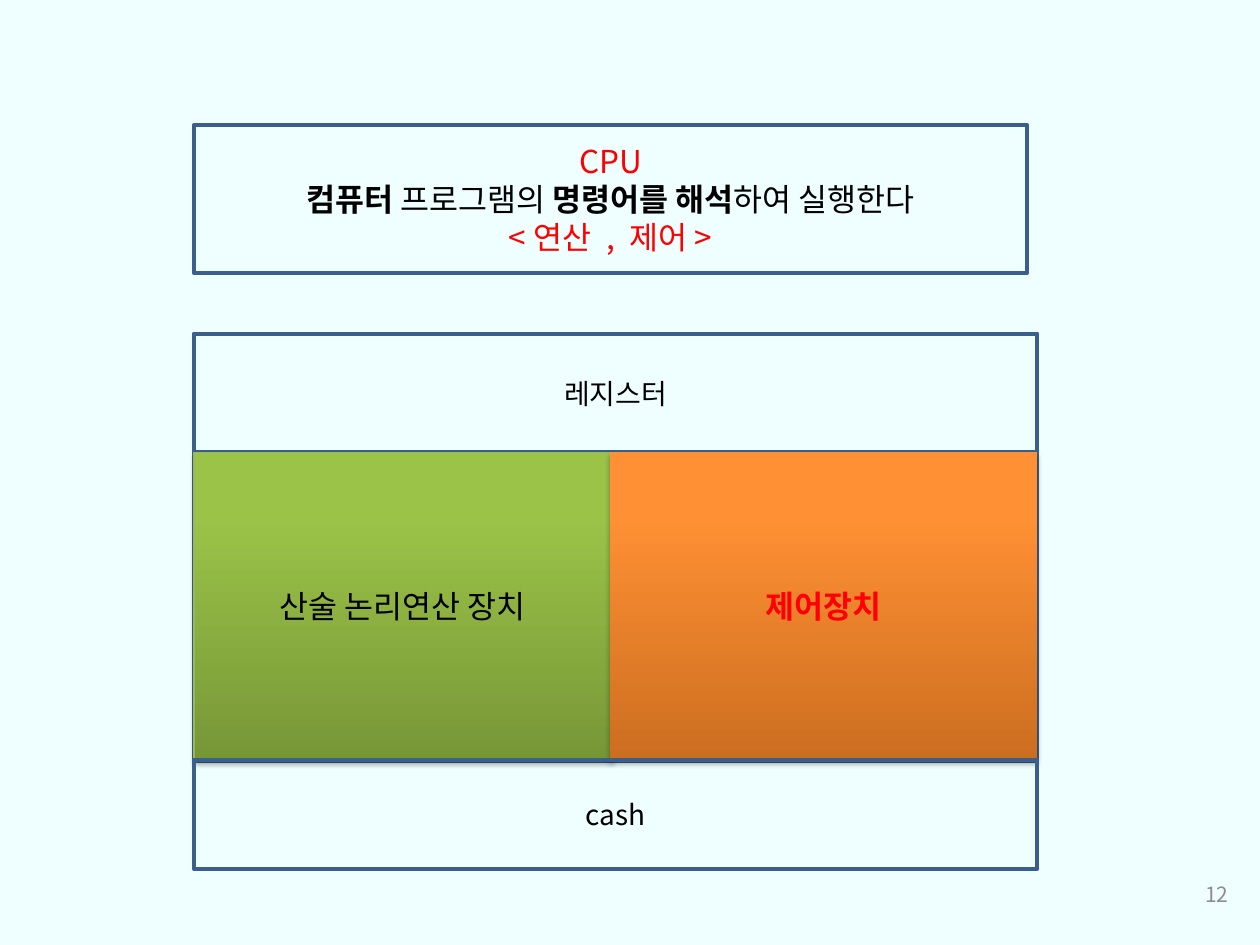
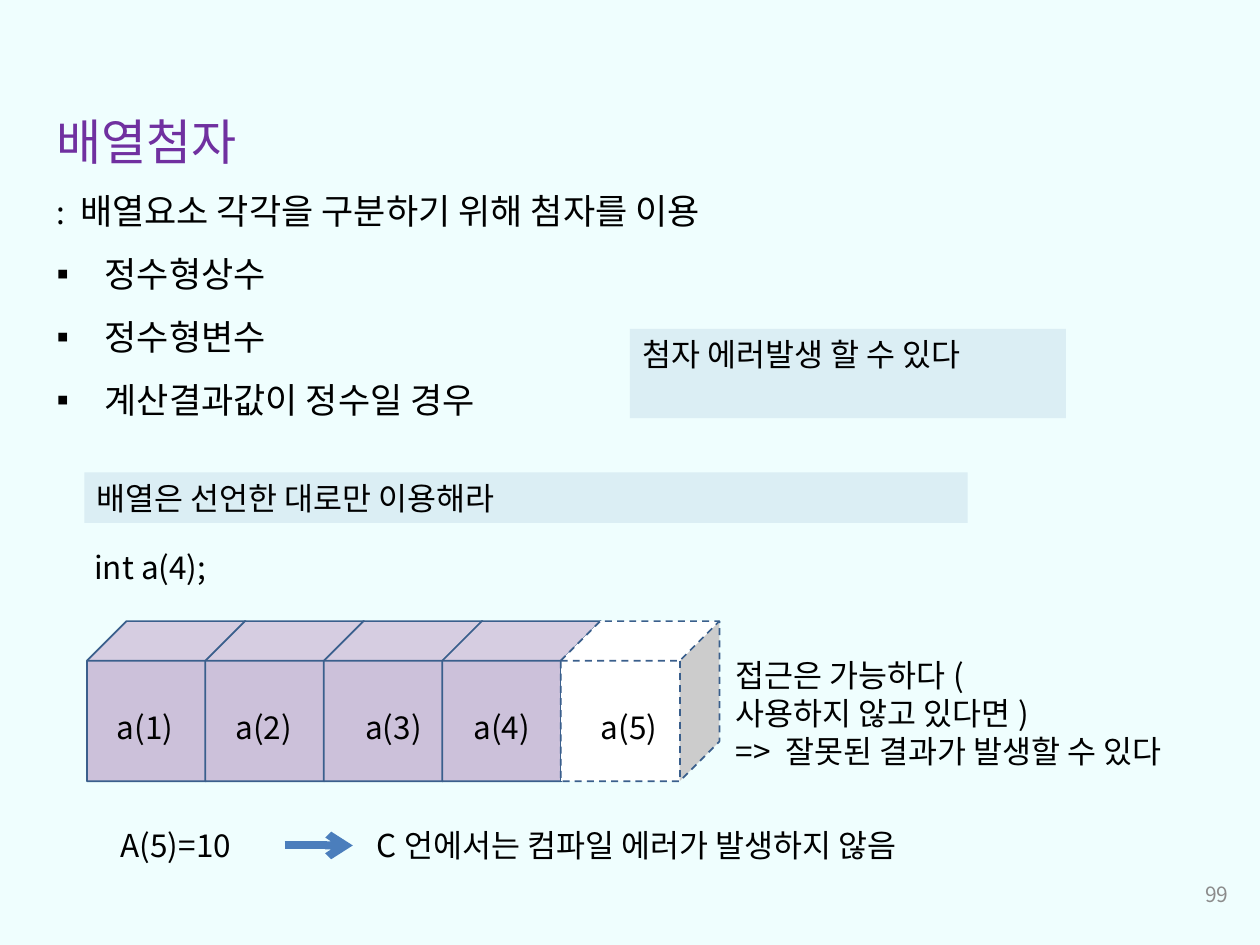
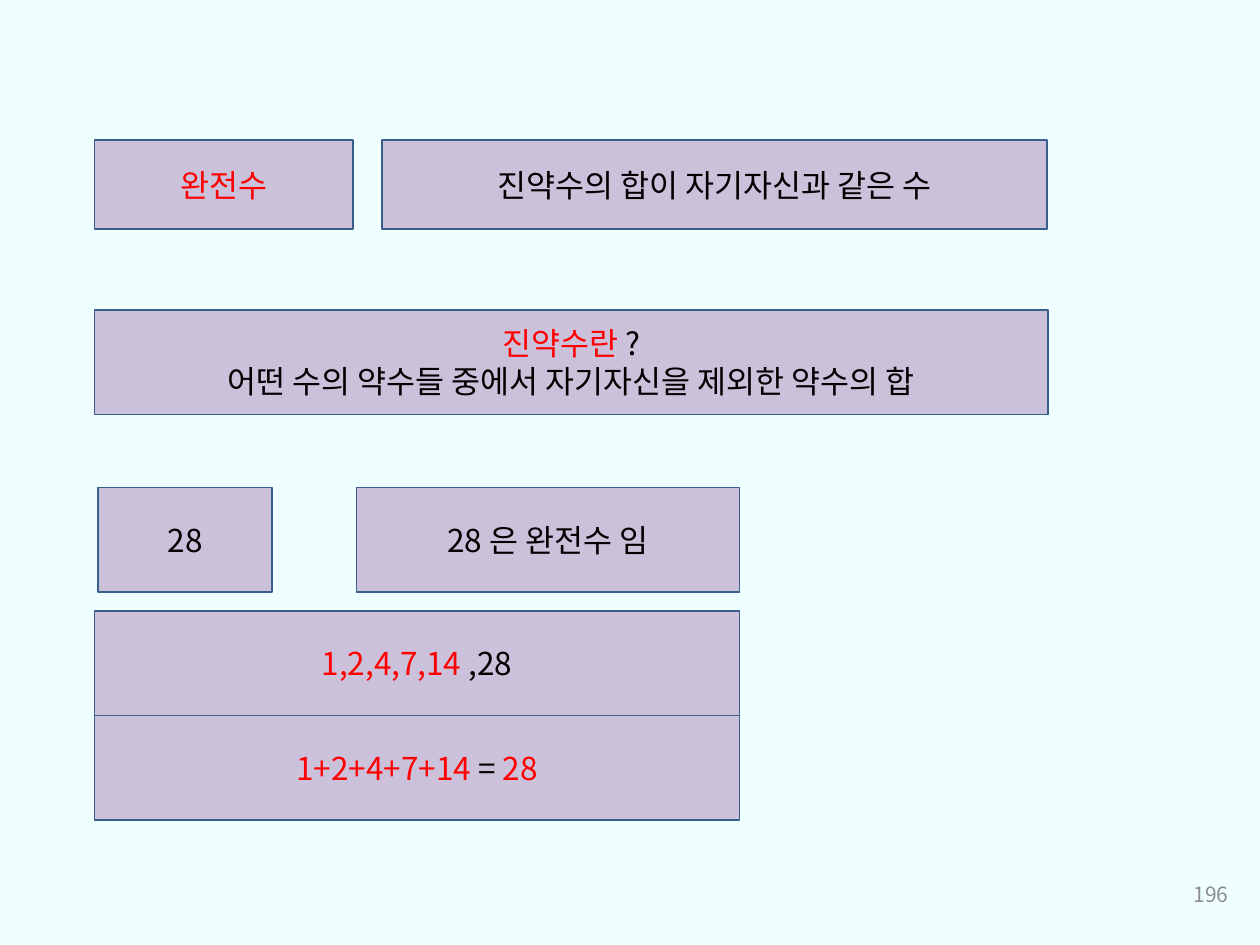
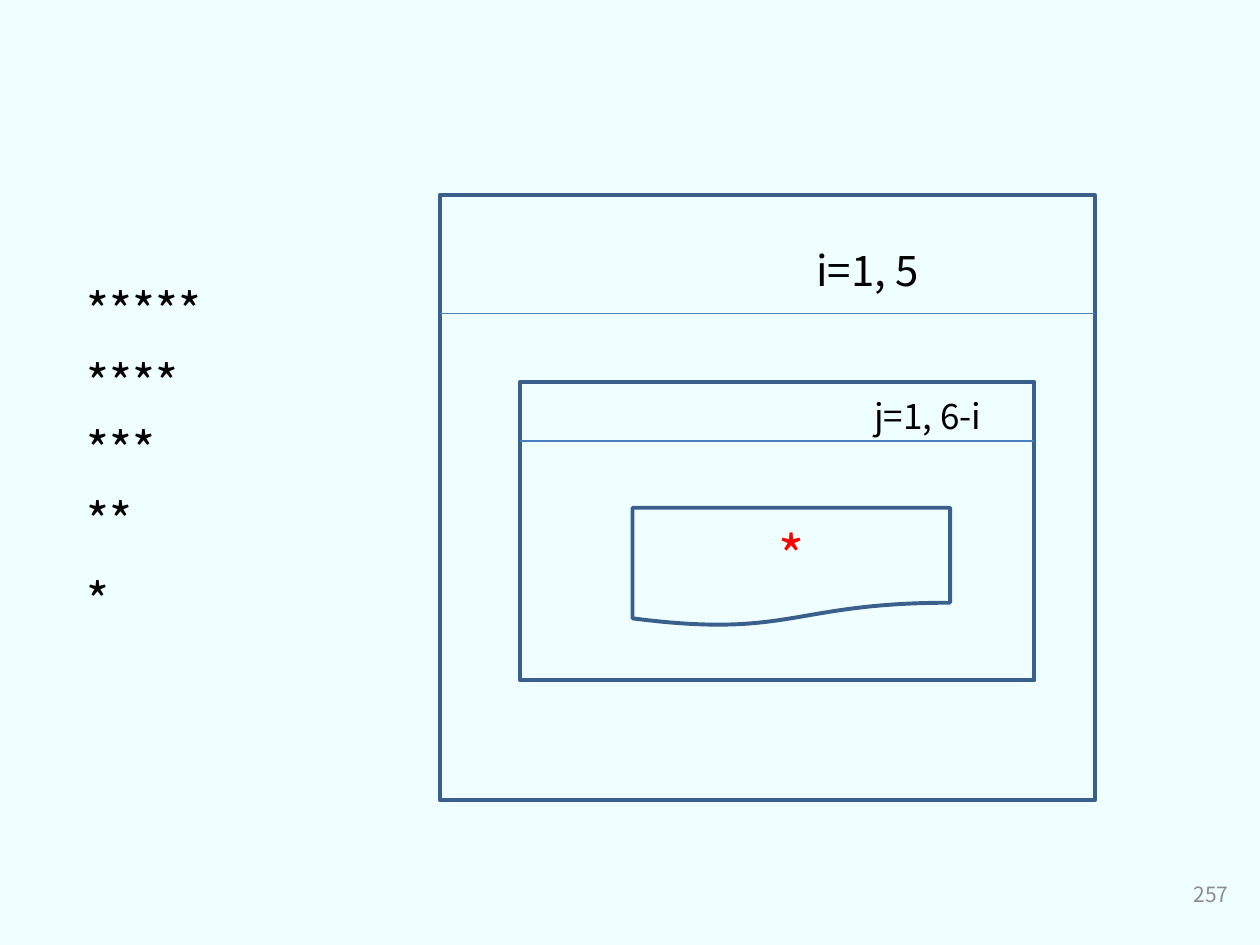
"""Build four lecture slides on the CPU, array indices, perfect numbers and nested loops."""
from lxml import etree
from pptx import Presentation
from pptx.dml.color import RGBColor
from pptx.enum.dml import MSO_LINE
from pptx.enum.shapes import MSO_CONNECTOR, MSO_SHAPE
from pptx.enum.text import MSO_ANCHOR, MSO_AUTO_SIZE, PP_ALIGN
from pptx.oxml.ns import qn
from pptx.util import Inches, Pt

FONT = "Noto Sans CJK KR"
BACKGROUND = RGBColor(0xEF, 0xFE, 0xFE)
BLACK = RGBColor(0, 0, 0)
WHITE = RGBColor(0xFF, 0xFF, 0xFF)
RED = RGBColor(0xFF, 0, 0)
GRAY = RGBColor(0x8C, 0x8C, 0x8C)
PURPLE = RGBColor(0x70, 0x30, 0xA0)
LILAC = RGBColor(0xCC, 0xC1, 0xDA)
PALE_BLUE = RGBColor(0xDB, 0xEE, 0xF4)
OUTLINE = RGBColor(0x3A, 0x5F, 0x8C)
LINE_BLUE = RGBColor(0x4B, 0x7E, 0xBC)
GREEN_LINE = RGBColor(0x98, 0xB9, 0x55)
GREENS = RGBColor(0x77, 0x97, 0x37), RGBColor(0x9B, 0xC3, 0x48)
ORANGES = RGBColor(0xCC, 0x6E, 0x20), RGBColor(0xFF, 0x90, 0x34)

RECT, CUBE, DOCUMENT = MSO_SHAPE.RECTANGLE, MSO_SHAPE.CUBE, MSO_SHAPE.FLOWCHART_DOCUMENT
LEFT, CENTER, RIGHT = PP_ALIGN.LEFT, PP_ALIGN.CENTER, PP_ALIGN.RIGHT
TOP, MIDDLE = MSO_ANCHOR.TOP, MSO_ANCHOR.MIDDLE
DASH = MSO_LINE.DASH
STRAIGHT = MSO_CONNECTOR.STRAIGHT


def inches(*lengths):
    """Convert several lengths from inches."""
    return [Inches(n) for n in lengths]


def set_font(p, size, color=BLACK, bold=False):
    """Give a paragraph its Latin and East Asian font."""
    font = p.font
    font.size, font.bold, font.name = Pt(size), bold, FONT
    font.color.rgb = color
    props = p._p.pPr.find(qn("a:defRPr"))
    etree.SubElement(props, qn("a:ea")).set("typeface", FONT)


def set_bullet(p, char=None):
    """Give a paragraph a hanging bullet, or none."""
    props = p._p.get_or_add_pPr()
    indent = Inches(0.38) if char else 0
    props.set("marL", str(indent))
    props.set("indent", str(-indent))
    if char:
        etree.SubElement(props, qn("a:buChar")).set("char", char)
    else:
        etree.SubElement(props, qn("a:buNone"))


def write(sp, paragraphs, size=18, color=BLACK, bold=False, align=LEFT, anchor=TOP):
    """Write paragraphs, each a string or a list of (text, color, bold) runs."""
    tf = sp.text_frame
    tf.word_wrap = True
    tf.vertical_anchor = anchor
    for i, content in enumerate(paragraphs):
        p = tf.add_paragraph() if i else tf.paragraphs[0]
        p.alignment = align
        set_font(p, size, color, bold)
        if isinstance(content, str):
            p.add_run().text = content
            continue
        for text, run_color, run_bold in content:
            r = p.add_run()
            r.text = text
            r.font.color.rgb = run_color
            r.font.bold = run_bold


def add_text(slide, at, *paragraphs, **style):
    """Add a text box."""
    sp = slide.shapes.add_textbox(*inches(*at))
    write(sp, paragraphs, **style)
    return sp


def add_box(shapes, at, *paragraphs, kind=RECT, fill=None, line=OUTLINE, width=2.25,
            align=CENTER, anchor=MIDDLE, **style):
    """Add a shape with an optional fill, outline and text."""
    sp = shapes.add_shape(kind, *inches(*at))
    sp.shadow.inherit = False
    if fill is None:
        sp.fill.background()
    else:
        sp.fill.solid()
        sp.fill.fore_color.rgb = fill
    if line is None:
        sp.line.fill.background()
    else:
        sp.line.color.rgb = line
        sp.line.width = Pt(width)
    if paragraphs:
        write(sp, paragraphs, align=align, anchor=anchor, **style)
    return sp


def shade(sp, colors):
    """Give a shape an upward gradient and a soft shadow below."""
    fill = sp.fill
    fill.gradient()
    fill.gradient_angle = 90
    for stop, color, position in zip(fill.gradient_stops, colors, (0, 0.8)):
        stop.color.rgb = color
        stop.position = position
    effects = sp._element.spPr.find(qn("a:effectLst"))
    shadow = etree.SubElement(effects, qn("a:outerShdw"), blurRad=str(Pt(3.1)),
                              dist=str(Pt(1.8)), dir="5400000", rotWithShape="0")
    color = etree.SubElement(shadow, qn("a:srgbClr"), val=str(BLACK))
    etree.SubElement(color, qn("a:alpha"), val="35000")


def add_line(shapes, x1, y1, x2, y2, width=0.75, arrow=False):
    """Add a straight line, with an arrowhead at its end if wanted."""
    cxn = shapes.add_connector(STRAIGHT, *inches(x1, y1, x2, y2))
    cxn.line.color.rgb = LINE_BLUE
    cxn.line.width = Pt(width)
    if arrow:
        etree.SubElement(cxn.line._get_or_add_ln(), qn("a:tailEnd"), type="arrow")
    etree.SubElement(cxn._element.spPr, qn("a:effectLst"))


def add_slide(prs, number, layout=6):
    """Add a slide with its page number."""
    slide = prs.slides.add_slide(prs.slide_layouts[layout])
    add_text(slide, (7.52, 6.9, 2.33, 0.4), str(number), size=12, color=GRAY,
             align=RIGHT, anchor=MIDDLE)
    return slide


def place(sp, at):
    """Move a placeholder and fix its size."""
    sp.left, sp.top, sp.width, sp.height = inches(*at)
    sp.text_frame.auto_size = MSO_AUTO_SIZE.NONE


def build_cpu(prs):
    """Build the diagram of the CPU."""
    slide = add_slide(prs, 12)
    shapes = slide.shapes
    left, width = 1.54, 6.69
    add_box(shapes, (left, 0.99, 6.61, 1.18),
            [("CPU", RED, False)],
            [("컴퓨터", BLACK, True), (" 프로그램의 ", BLACK, False),
             ("명령어를 해석", BLACK, True), ("하여 실행한다", BLACK, False)],
            [("<연산 , 제어>", RED, False)])
    add_box(shapes, (left, 2.65, width, 3.39))
    add_box(shapes, (left, 2.65, width, 0.94), "레지스터", size=16)
    alu = add_box(shapes, (left, 3.59, 3.31, 2.44), "산술 논리연산 장치",
                  line=GREEN_LINE, width=0.75)
    shade(alu, GREENS)
    control = add_box(shapes, (4.84, 3.59, 3.39, 2.44), "제어장치", line=None,
                      color=RED, bold=True)
    shade(control, ORANGES)
    add_box(shapes, (left, 6.03, width, 0.87), "cash", size=16)


def build_array_index(prs):
    """Build the slide on array indices."""
    slide = add_slide(prs, 99, layout=1)
    shapes = slide.shapes
    title, body = shapes.title, slide.placeholders[1]
    place(title, (0.35, 0.6, 8.58, 0.8))
    write(title, ["배열첨자"], size=28, color=PURPLE)
    title.text_frame.paragraphs[0].line_spacing = 1.5

    place(body, (0.35, 1.29, 8.58, 2.14))
    tf = body.text_frame
    items = ["배열요소 각각을 구분하기 위해 첨자를 이용", "정수형상수", "정수형변수",
             "계산결과값이 정수일 경우"]
    for i, item in enumerate(items):
        p = tf.add_paragraph() if i else tf.paragraphs[0]
        set_bullet(p, "▪" if i else None)
        p.line_spacing, p.space_before = 1.5, Pt(0)
        set_font(p, 20)
        if not i:
            r = p.add_run()
            r.text = ": "
            r.font.size = Pt(18)
        p.add_run().text = item

    for at, note in (((5, 2.61, 3.46, 0.71), "첨자 에러발생 할 수 있다"),
                     ((0.67, 3.75, 7.01, 0.4), "배열은 선언한 대로만 이용해라")):
        add_box(shapes, at, note, fill=PALE_BLUE, line=None, align=LEFT, anchor=TOP)
    add_text(slide, (0.65, 4.3, 5.28, 0.4), "int a(4);")

    cells = shapes.add_group_shape().shapes
    label_lefts = (0.83, 1.77, 2.8, 3.66, 4.67)
    for i in range(len(label_lefts)):
        inside = i < 4
        cube = add_box(cells, (0.69 + 0.94 * i, 4.93, 1.26, 1.27), kind=CUBE,
                       fill=LILAC if inside else WHITE, width=1)
        if not inside:
            cube.line.dash_style = DASH
    for i, left in enumerate(label_lefts, 1):
        add_text(slide, (left, 5.57, 0.69, 0.4), f"a({i})")

    add_text(slide, (5.74, 5.16, 5.02, 1.01), "접근은 가능하다(", "사용하지 않고 있다면)",
             "=> 잘못된 결과가 발생할 수 있다")
    add_text(slide, (0.86, 6.51, 1.2, 0.4), "A(5)=10")
    add_text(slide, (2.89, 6.51, 5.02, 0.4), "C언에서는 컴파일 에러가 발생하지 않음")
    add_line(shapes, 2.26, 6.71, 2.8, 6.71, width=4.5, arrow=True)


def build_perfect_number(prs):
    """Build the slide on perfect numbers."""
    slide = add_slide(prs, 196)
    boxes = [
        ((0.75, 1.11, 2.05, 0.71), [[("완전수", RED, False)]]),
        ((3.03, 1.11, 5.28, 0.71), ["진약수의 합이 자기자신과 같은 수"]),
        ((0.75, 2.46, 7.57, 0.83), [[("진약수란", RED, False), ("?", BLACK, False)],
                                    "어떤 수의 약수들 중에서 자기자신을 제외한 약수의 합"]),
        ((0.78, 3.87, 1.38, 0.83), ["28"]),
        ((2.83, 3.87, 3.04, 0.83), ["28은 완전수 임"]),
        ((0.75, 4.85, 5.12, 0.83), [[("1,2,4,7,14", RED, False), (" ,28", BLACK, False)]]),
        ((0.75, 5.68, 5.12, 0.83), [[("1+2+4+7+14", RED, False), (" = ", BLACK, False),
                                     ("28", RED, False)]]),
    ]
    for at, paragraphs in boxes:
        add_box(slide.shapes, at, *paragraphs, fill=LILAC, width=1)


def add_loop(slide, left, top, width, height, header):
    """Add a loop frame with a line below its header."""
    shapes = slide.shapes.add_group_shape().shapes
    add_box(shapes, (left, top, width, height))
    add_line(shapes, left, top + header, left + width, top + header)


def build_nested_loop(prs):
    """Build the nested loop that prints a triangle of stars."""
    slide = add_slide(prs, 257)
    add_loop(slide, 3.49, 1.55, 5.2, 4.8, header=0.94)
    add_loop(slide, 4.13, 3.03, 4.08, 2.37, header=0.47)
    add_text(slide, (6.38, 1.89, 2.76, 0.5), "i=1, 5", size=24)
    add_text(slide, (6.84, 3.08, 2.76, 0.44), "j=1, 6-i", size=20)
    add_box(slide.shapes, (5.02, 4.03, 2.52, 0.94), "*", kind=DOCUMENT, size=32, color=RED)
    for i, top in enumerate((2.18, 2.75, 3.28, 3.84, 4.48)):
        add_text(slide, (0.59, top, 2.36, 0.57), "*" * (5 - i), size=28)


def main():
    """Build and save the presentation."""
    prs = Presentation()
    prs.slide_width, prs.slide_height = inches(10, 7.5)
    fill = prs.slide_master.background.fill
    fill.solid()
    fill.fore_color.rgb = BACKGROUND
    build_cpu(prs)
    build_array_index(prs)
    build_perfect_number(prs)
    build_nested_loop(prs)
    prs.save("out.pptx")


if __name__ == "__main__":
    main()
